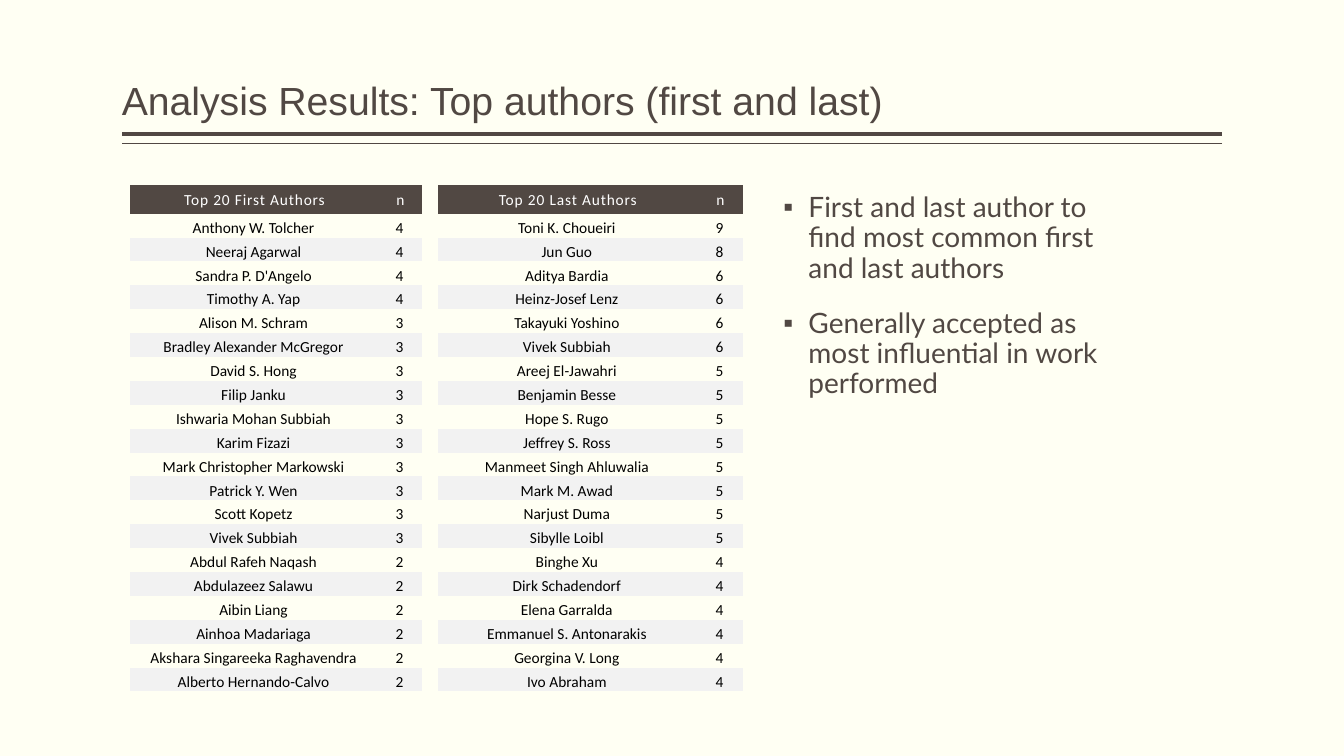
from dataclasses import dataclass

from lxml import etree
from pptx import Presentation
from pptx.dml.color import RGBColor
from pptx.enum import shapes, text
from pptx.oxml import ns
from pptx.util import Pt


@dataclass(frozen=True)
class Theme:
    paper: RGBColor = RGBColor.from_string("FFFFF3")
    ink: RGBColor = RGBColor.from_string("514843")
    band: RGBColor = RGBColor.from_string("F2F2F2")
    white: RGBColor = RGBColor.from_string("FFFFFF")
    black: RGBColor = RGBColor.from_string("000000")
    title_size: int = 28
    point_size: int = 20
    table_size: int = 11


THEME = Theme()
NO_GRID_STYLE = "{2D5ABB26-0587-4C30-8999-92F81FD0307C}"
HEADER_HEIGHT = 20.6

TITLE = "Analysis Results: Top authors (first and last)"
FIRST_AUTHORS = [
    ("Anthony W. Tolcher", 4), ("Neeraj Agarwal", 4),
    ("Sandra P. D'Angelo", 4), ("Timothy A. Yap", 4),
    ("Alison M. Schram", 3), ("Bradley Alexander McGregor", 3),
    ("David S. Hong", 3), ("Filip Janku", 3),
    ("Ishwaria Mohan Subbiah", 3), ("Karim Fizazi", 3),
    ("Mark Christopher Markowski", 3), ("Patrick Y. Wen", 3),
    ("Scott Kopetz", 3), ("Vivek Subbiah", 3),
    ("Abdul Rafeh Naqash", 2), ("Abdulazeez Salawu", 2),
    ("Aibin Liang", 2), ("Ainhoa Madariaga", 2),
    ("Akshara Singareeka Raghavendra", 2), ("Alberto Hernando-Calvo", 2),
]
LAST_AUTHORS = [
    ("Toni K. Choueiri", 9), ("Jun Guo", 8),
    ("Aditya Bardia", 6), ("Heinz-Josef Lenz", 6),
    ("Takayuki Yoshino", 6), ("Vivek Subbiah", 6),
    ("Areej El-Jawahri", 5), ("Benjamin Besse", 5),
    ("Hope S. Rugo", 5), ("Jeffrey S. Ross", 5),
    ("Manmeet Singh Ahluwalia", 5), ("Mark M. Awad", 5),
    ("Narjust Duma", 5), ("Sibylle Loibl", 5),
    ("Binghe Xu", 4), ("Dirk Schadendorf", 4),
    ("Elena Garralda", 4), ("Emmanuel S. Antonarakis", 4),
    ("Georgina V. Long", 4), ("Ivo Abraham", 4),
]
POINTS = [
    "First and last author to find most common first and last authors",
    "Generally accepted as most influential in work performed",
]


def assign(target, **values):
    """Set each named attribute of the target."""
    for name, value in values.items():
        setattr(target, name, value)


def style_font(font, face, size, color):
    assign(font, name=face, size=Pt(size))
    font.color.rgb = color


def add_title(slide, left, top, width, height):
    heading = slide.shapes.title
    assign(heading, left=Pt(left), top=Pt(top), width=Pt(width), height=Pt(height))
    frame = heading.text_frame
    frame.text = TITLE
    assign(frame, margin_left=0, margin_right=0, margin_top=Pt(3.6), margin_bottom=Pt(3.6),
           word_wrap=True, auto_size=text.MSO_AUTO_SIZE.NONE,
           vertical_anchor=text.MSO_ANCHOR.BOTTOM)
    line = frame.paragraphs[0]
    assign(line, alignment=text.PP_ALIGN.LEFT, line_spacing=0.9)
    style_font(line.runs[0].font, "Arial", THEME.title_size, THEME.ink)


def add_double_rule(slide, left, top, width, gap):
    """Draw a thick rule with a thin one below it."""
    for y, weight in ((top, 3), (top + gap, 1)):
        rule = slide.shapes.add_connector(
            shapes.MSO_CONNECTOR.STRAIGHT, Pt(left + width), Pt(y), Pt(left), Pt(y))
        rule.line.width = Pt(weight)
        rule.line.color.rgb = THEME.ink
        etree.SubElement(rule._element.spPr, ns.qn("a:effectLst"))


def fill_cell(cell, content, row):
    """Write one cell; row 0 is the header, and even rows below it are banded."""
    header = row == 0
    cell.text = str(content)
    if header or row % 2 == 0:
        cell.fill.solid()
        cell.fill.fore_color.rgb = THEME.ink if header else THEME.band
    else:
        cell.fill.background()
    if header:
        assign(cell, margin_left=Pt(1.4), margin_right=0, margin_top=Pt(3.6),
               margin_bottom=Pt(2.9), vertical_anchor=text.MSO_ANCHOR.MIDDLE)
    else:
        assign(cell, margin_left=Pt(0.5), margin_right=Pt(0.5), margin_top=Pt(0.5),
               margin_bottom=0, vertical_anchor=text.MSO_ANCHOR.BOTTOM)
    line = cell.text_frame.paragraphs[0]
    line.alignment = text.PP_ALIGN.CENTER
    font = line.runs[0].font
    style_font(font, "Calibri", THEME.table_size, THEME.white if header else THEME.black)
    if header:
        font._element.set("spc", "60")


def add_author_table(slide, heading, authors, left, top, width, height, count_width):
    records = [(heading, "n"), *authors]
    table = slide.shapes.add_table(
        len(records), 2, Pt(left), Pt(top), Pt(width), Pt(height)).table
    assign(table, first_row=False, horz_banding=False)
    table._tbl.tblPr.find(ns.qn("a:tableStyleId")).text = NO_GRID_STYLE
    table.columns[0].width = Pt(width - count_width)
    table.columns[1].width = Pt(count_width)
    author_height = (height - HEADER_HEIGHT) / len(authors)
    for row, record in enumerate(records):
        table.rows[row].height = Pt(author_height if row else HEADER_HEIGHT)
        for column, content in enumerate(record):
            fill_cell(table.cell(row, column), content, row)


def add_points(slide, left, top, width, height):
    frame = slide.shapes.add_textbox(Pt(left), Pt(top), Pt(width), Pt(height)).text_frame
    assign(frame, margin_left=0, margin_right=0, margin_top=Pt(3.6), margin_bottom=Pt(3.6),
           word_wrap=True)
    for index, point in enumerate(POINTS):
        line = frame.add_paragraph() if index else frame.paragraphs[0]
        line.text = point
        assign(line, line_spacing=0.9, space_before=Pt(18))
        style_font(line.runs[0].font, "Lato", THEME.point_size, THEME.ink)
        properties = line._p.get_or_add_pPr()
        properties.set("marL", str(Pt(18)))
        properties.set("indent", str(Pt(-18)))
        etree.SubElement(properties, ns.qn("a:buFont"), typeface="Arial")
        etree.SubElement(properties, ns.qn("a:buChar"), char="▪")


def main():
    deck = Presentation()
    assign(deck, slide_width=Pt(960), slide_height=Pt(540))
    slide = deck.slides.add_slide(deck.slide_layouts[5])
    slide.background.fill.solid()
    slide.background.fill.fore_color.rgb = THEME.paper

    add_double_rule(slide, 87, 95.6, 786, 7)
    add_title(slide, 87, 5.8, 786, 86.4)
    add_author_table(slide, "Top 20 First Authors", FIRST_AUTHORS, 92.9, 132, 208.5, 362, 32)
    add_author_table(slide, "Top 20 Last Authors", LAST_AUTHORS, 312.7, 132, 218, 362.4, 33.5)
    add_points(slide, 559.5, 134.6, 255, 360)
    deck.save("out.pptx")


if __name__ == "__main__":
    main()
